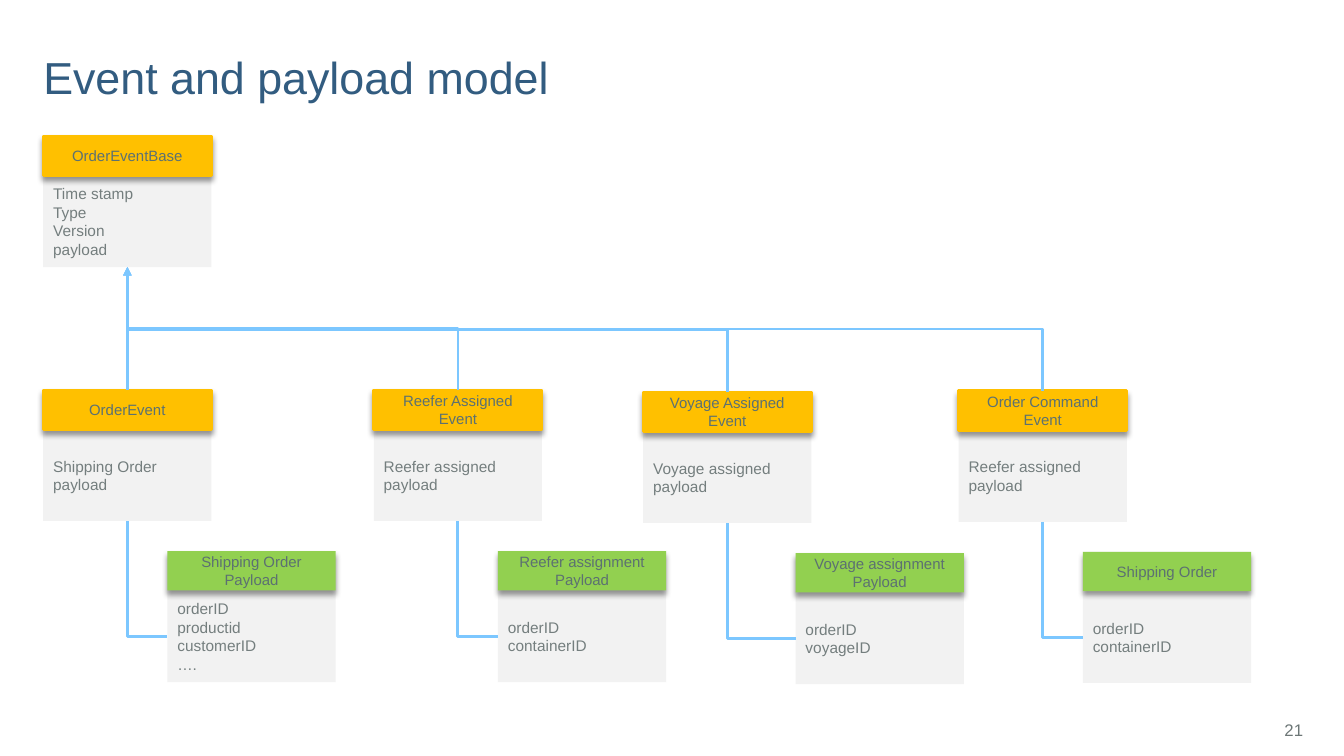
from lxml import etree
from pptx import Presentation
from pptx.dml.color import RGBColor
from pptx.enum.shapes import MSO_CONNECTOR, MSO_SHAPE
from pptx.enum.text import MSO_ANCHOR, PP_ALIGN
from pptx.oxml import parse_xml
from pptx.oxml.ns import nsdecls, qn
from pptx.util import Cm, Pt

RECTANGLE, ELBOW = MSO_SHAPE.RECTANGLE, MSO_CONNECTOR.ELBOW
MIDDLE, BOTTOM = MSO_ANCHOR.MIDDLE, MSO_ANCHOR.BOTTOM
LEFT, CENTER, RIGHT = PP_ALIGN.LEFT, PP_ALIGN.CENTER, PP_ALIGN.RIGHT

FONT = "Arial"
TITLE_BLUE = RGBColor(0x32, 0x5C, 0x80)
LINE_BLUE = RGBColor(0x7C, 0xC7, 0xFF)
EVENT_AMBER = RGBColor(0xFF, 0xC0, 0x00)
PAYLOAD_GREEN = RGBColor(0x92, 0xD0, 0x50)
BODY_GREY = RGBColor(0xF2, 0xF2, 0xF2)
BODY_TEXT = RGBColor(0x74, 0x7E, 0x7E)
HEADER_TEXT = RGBColor(0x5C, 0x71, 0x71)
NUMBER_TEXT = RGBColor(0x6D, 0x77, 0x77)

# Lengths in centimetres
CARD_WIDTH, HEADER_HEIGHT, BODY_HEIGHT = 4.24, 0.99, 2.31
CARD_HEIGHT = HEADER_HEIGHT + BODY_HEIGHT
BASE_LEFT, BASE_TOP = 1.09, 3.43
EVENT_TOP, PAYLOAD_DROP = 9.83, 4.06

BASE_FIELDS = ["Time stamp", "Type", "Version", "payload"]
# left, lowering, event, event field, payload shift, payload, payload fields
BRANCHES = [
    (1.09, 0, "OrderEvent", "Shipping Order payload",
     3.13, "Shipping Order Payload", ["orderID", "productid", "customerID", "…."]),
    (9.42, 0, "Reefer Assigned Event", "Reefer assigned payload",
     3.13, "Reefer assignment Payload", ["orderID", "containerID"]),
    (16.21, 0.05, "Voyage Assigned Event", "Voyage assigned payload",
     3.84, "Voyage assignment Payload", ["orderID", "voyageID"]),
    (24.16, 0.02, "Order Command Event", "Reefer assigned payload",
     3.13, "Shipping Order", ["orderID", "containerID"]),
]


def write_lines(frame, lines, size, color, align, anchor=MIDDLE):
    frame.word_wrap = True
    frame.vertical_anchor = anchor
    for index, line in enumerate(lines):
        paragraph = frame.paragraphs[0] if index == 0 else frame.add_paragraph()
        paragraph.alignment = align
        run = paragraph.add_run()
        run.text = line
        run.font.name, run.font.size = FONT, Pt(size)
        run.font.color.rgb = color


def add_block(slide, left, top, height, fill):
    block = slide.shapes.add_shape(
        RECTANGLE, Cm(left), Cm(top), Cm(CARD_WIDTH), Cm(height))
    block.shadow.inherit = False
    block.fill.solid()
    block.fill.fore_color.rgb = fill
    block.line.fill.background()
    return block


def add_drop_shadow(block):
    effects = block._element.spPr.find(qn("a:effectLst"))
    effects.append(parse_xml(
        f'<a:outerShdw {nsdecls("a")} blurRad="{Pt(4)}" dist="{Pt(3)}" dir="5400000" '
        'rotWithShape="0"><a:srgbClr val="000000"><a:alpha val="40000"/></a:srgbClr>'
        '</a:outerShdw>'))


def add_card(slide, left, top, heading, fields, fill, outlined=True):
    """Class card: a coloured heading over a grey list of fields."""
    body = add_block(slide, left, top + HEADER_HEIGHT, BODY_HEIGHT, BODY_GREY)
    write_lines(body.text_frame, fields, 11, BODY_TEXT, LEFT)
    header = add_block(slide, left, top, HEADER_HEIGHT, fill)
    if outlined:
        header.line.color.rgb = fill
        header.line.width = Pt(2)
    add_drop_shadow(header)
    write_lines(header.text_frame, [heading], 10.7, HEADER_TEXT, CENTER)


def add_vertical_elbow(slide, start, end, preset, arrow=False):
    """Elbow that leaves its start vertically: a horizontal one turned by 270 degrees."""
    center_x, center_y = (start[0] + end[0]) / 2, (start[1] + end[1]) / 2
    turned = [Cm(length) for x, y in (start, end)
              for length in (center_x - (y - center_y), center_y + (x - center_x))]
    elbow = slide.shapes.add_connector(ELBOW, *turned)
    elbow.line.color.rgb = LINE_BLUE
    elbow.line.width = Pt(2)
    properties = elbow._element.spPr
    properties.find(qn("a:xfrm")).set("rot", str(270 * 60000))
    properties.find(qn("a:prstGeom")).set("prst", preset)
    if arrow:
        etree.SubElement(elbow.line._get_or_add_ln(), qn("a:tailEnd"), type="triangle")
    etree.SubElement(properties, qn("a:effectLst"))


def add_branch(slide, left, lowering, event, field, shift, payload, payload_fields):
    """Event card with its payload card, joined to each other and to the base card."""
    event_top = EVENT_TOP + lowering
    payload_left, payload_top = left + shift, event_top + PAYLOAD_DROP
    center = left + CARD_WIDTH / 2
    add_card(slide, left, event_top, event, [field], EVENT_AMBER)
    add_card(slide, payload_left, payload_top, payload, payload_fields,
             PAYLOAD_GREEN, outlined=False)
    add_vertical_elbow(
        slide, (center, event_top + CARD_HEIGHT),
        (payload_left, payload_top + HEADER_HEIGHT + BODY_HEIGHT / 2),
        "bentConnector2")
    add_vertical_elbow(
        slide, (center, event_top),
        (BASE_LEFT + CARD_WIDTH / 2, BASE_TOP + CARD_HEIGHT),
        "bentConnector3", arrow=True)


def add_title(slide, left, top, width, height):
    title = slide.shapes.title
    title.left, title.top, title.width, title.height = map(Cm, (left, top, width, height))
    frame = title.text_frame
    frame.margin_left = frame.margin_bottom = 0
    write_lines(frame, ["Event and payload model"], 32, TITLE_BLUE, LEFT, BOTTOM)
    frame.paragraphs[0].line_spacing = 0.85


def add_slide_number(slide, left, top, width, height):
    number = slide.shapes.add_textbox(*map(Cm, (left, top, width, height)))
    write_lines(number.text_frame, ["21"], 12, NUMBER_TEXT, RIGHT)


def main():
    deck = Presentation()
    deck.slide_width, deck.slide_height = Cm(33.87), Cm(19.05)
    slide = deck.slides.add_slide(deck.slide_layouts[5])
    add_title(slide, 1.09, 0.18, 30.25, 2.44)
    add_slide_number(slide, 31.62, 17.88, 1.47, 1.02)
    add_card(slide, BASE_LEFT, BASE_TOP, "OrderEventBase", BASE_FIELDS, EVENT_AMBER)
    for branch in BRANCHES:
        add_branch(slide, *branch)
    deck.save("out.pptx")


if __name__ == "__main__":
    main()
